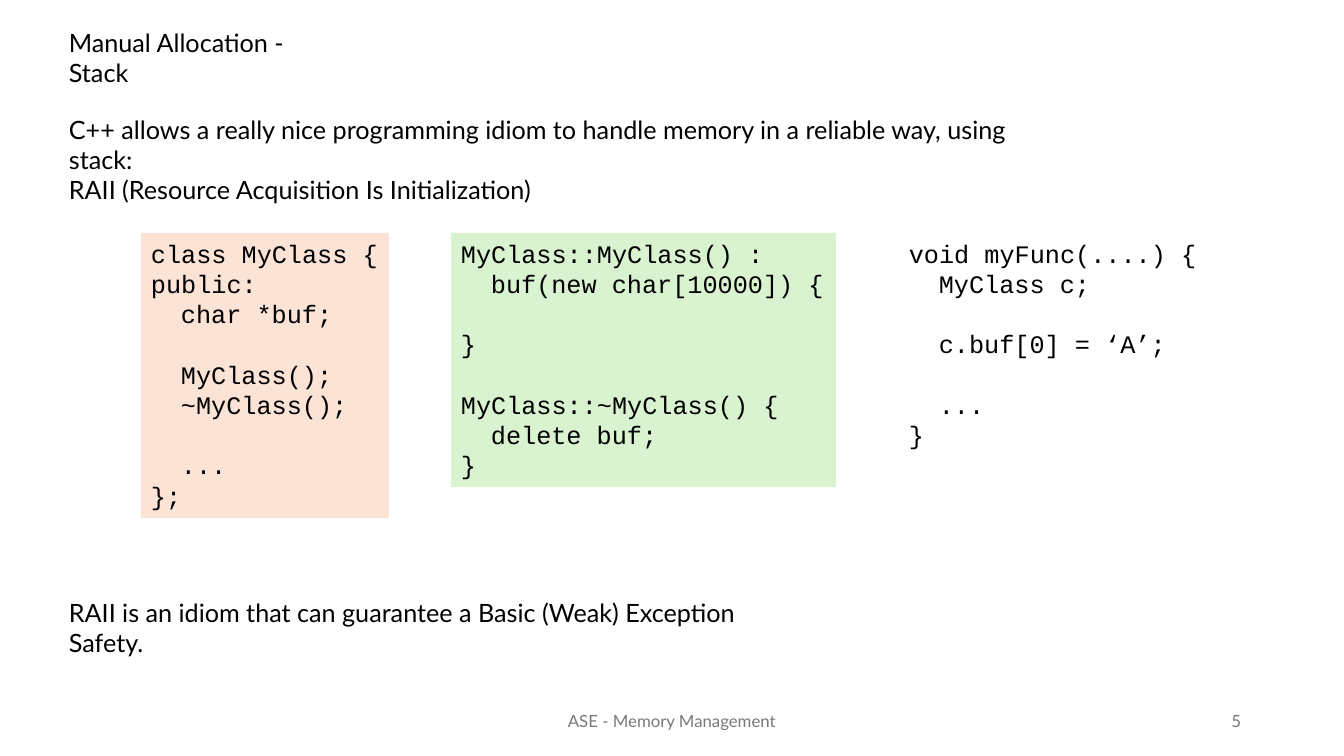
from pptx import Presentation
from pptx.dml.color import RGBColor
from pptx.enum.shapes import MSO_SHAPE
from pptx.enum.text import MSO_ANCHOR, PP_ALIGN
from pptx.util import Emu, Pt

RECTANGLE = MSO_SHAPE.RECTANGLE
TOP, MIDDLE = MSO_ANCHOR.TOP, MSO_ANCHOR.MIDDLE
LEFT, CENTER, RIGHT = PP_ALIGN.LEFT, PP_ALIGN.CENTER, PP_ALIGN.RIGHT
EMU_PER_PX = 914400 / 100.8
SLIDE_SIZE = (1344, 756)
BODY_FONT, CODE_FONT = "Lato", "Courier New"
BODY_LEFT = 59
CODE_TOP = 233
CODE_INDENT = 30
CODE_LINE = Pt(21.6)
COLORS = {"text": "000000", "footer": "797979", "peach": "FBE3D6", "green": "D9F2D0"}

CLASS_CODE = """class MyClass {
public:
  char *buf;

  MyClass();
  ~MyClass();

  ...
};"""
METHODS_CODE = """MyClass::MyClass() :
  buf(new char[10000]) {

}

MyClass::~MyClass() {
  delete buf;
}"""
FUNCTION_CODE = """void myFunc(....) {
  MyClass c;

  c.buf[0] = ‘A’;

  ...
}"""


def px(length):
    return Emu(round(length * EMU_PER_PX))


def write_text(paragraph, text, font=BODY_FONT, size=18, color="text", align=LEFT):
    paragraph.text = text
    paragraph.alignment = align
    for run in paragraph.runs:
        run.font.name = font
        run.font.size = Pt(size)
        run.font.color.rgb = RGBColor.from_string(COLORS[color])


def add_text(slide, box, text, anchor=TOP, **text_format):
    shape = slide.shapes.add_textbox(*map(px, box))
    frame = shape.text_frame
    frame.word_wrap = True
    frame.vertical_anchor = anchor
    write_text(frame.paragraphs[0], text, **text_format)


def add_code(slide, box, code, fill=None):
    if fill:
        shape = slide.shapes.add_shape(RECTANGLE, *map(px, box))
        shape.shadow.inherit = False
        shape.fill.solid()
        shape.fill.fore_color.rgb = RGBColor.from_string(COLORS[fill])
        shape.line.fill.background()
    else:
        shape = slide.shapes.add_textbox(*map(px, box))
    frame = shape.text_frame
    frame.word_wrap = False
    frame.vertical_anchor = TOP
    paragraph, after_gap = frame.paragraphs[0], False
    for line in code.splitlines():
        if not line:
            after_gap = True
            continue
        if paragraph.runs:
            paragraph = frame.add_paragraph()
        write_text(paragraph, line.strip(), font=CODE_FONT)
        paragraph.line_spacing = CODE_LINE
        if after_gap:
            paragraph.space_before = CODE_LINE
        if line.startswith(" "):
            paragraph._p.get_or_add_pPr().set("marL", str(px(CODE_INDENT)))
        after_gap = False


def main():
    presentation = Presentation()
    presentation.slide_width, presentation.slide_height = map(px, SLIDE_SIZE)
    slide = presentation.slides.add_slide(presentation.slide_layouts[6])

    footer = {"anchor": MIDDLE, "size": 12, "color": "footer"}
    add_text(slide, (445, 701, 454, 40), "ASE - Memory Management", align=CENTER, **footer)
    add_text(slide, (949, 701, 302, 40), "5", align=RIGHT, **footer)

    add_text(slide, (BODY_LEFT, 22, 299, 40), "Manual Allocation - Stack")
    add_text(
        slide,
        (BODY_LEFT, 109, 1021, 72),
        "C++ allows a really nice programming idiom to handle memory in a reliable way, "
        "using stack:\nRAII (Resource Acquisition Is Initialization)",
    )
    add_code(slide, (141, CODE_TOP, 248, 285), CLASS_CODE, fill="peach")
    add_code(slide, (451, CODE_TOP, 385, 254), METHODS_CODE, fill="green")
    add_code(slide, (899, CODE_TOP, 309, 224), FUNCTION_CODE)
    add_text(
        slide,
        (BODY_LEFT, 592, 751, 40),
        "RAII is an idiom that can guarantee a Basic (Weak) Exception Safety.",
    )
    presentation.save("out.pptx")


if __name__ == "__main__":
    main()
